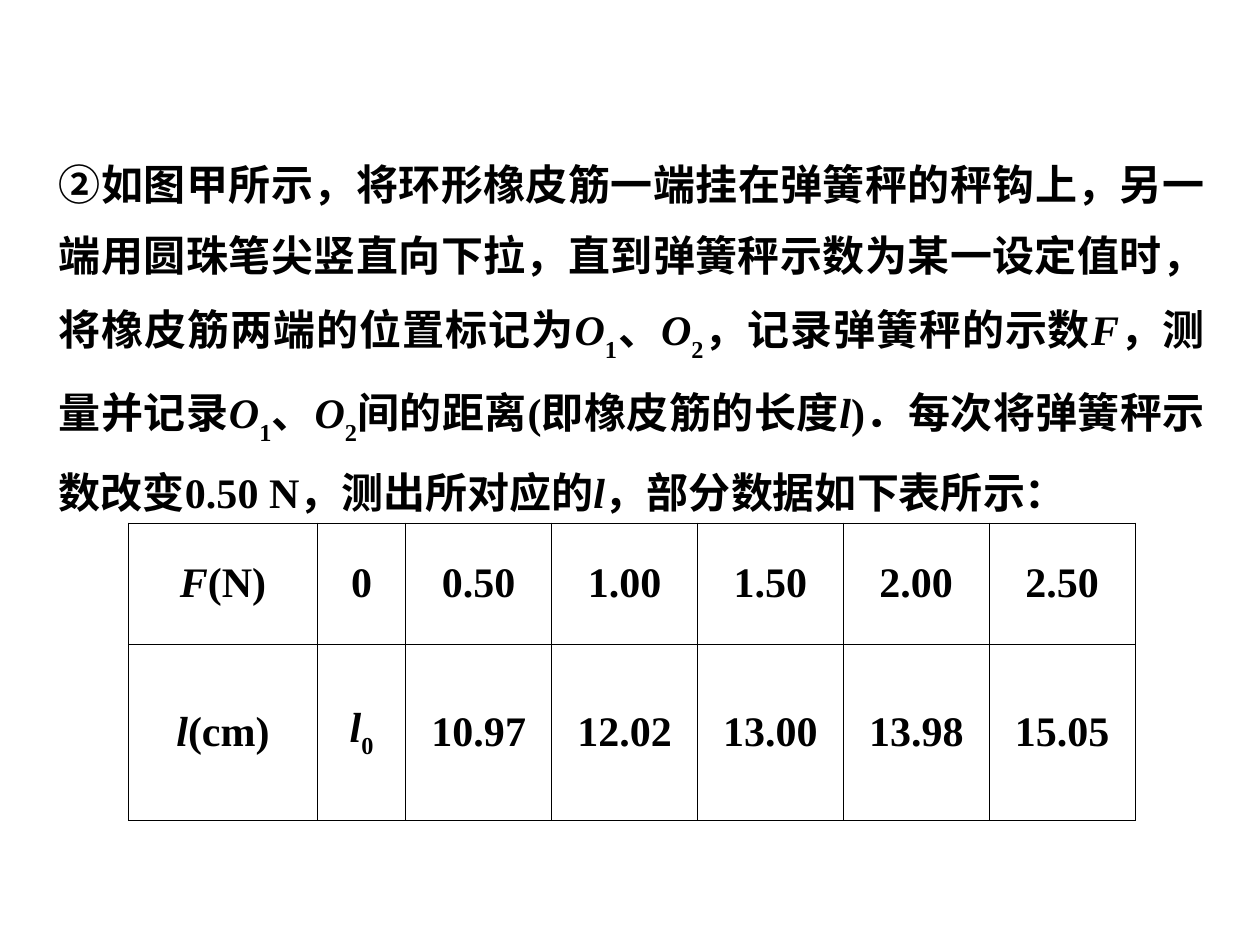
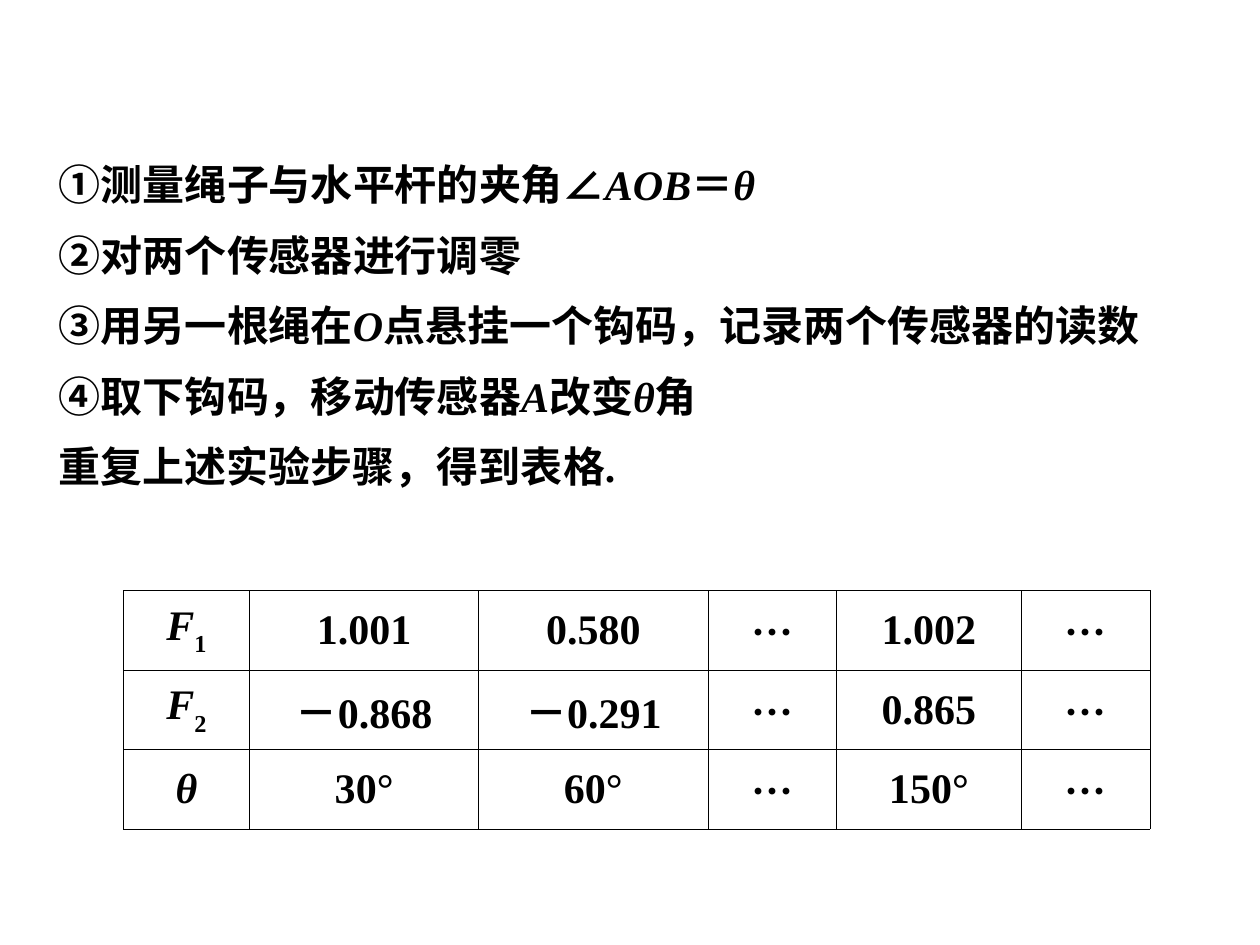
from dataclasses import dataclass

from lxml.etree import SubElement
from pptx import Presentation
from pptx.dml.color import RGBColor as RGB
from pptx.enum.text import MSO_ANCHOR as ANCHOR, PP_ALIGN as ALIGN
from pptx.oxml.ns import qn
from pptx.util import Cm, Pt


@dataclass(frozen=True)
class Theme:
    ink: str = "000000"
    font: str = "Times New Roman"
    symbol_font: str = "Noto Sans CJK SC"
    symbols: str = "①②③④∠…"
    size: float = 24
    line_spacing: float = 1.4
    border: float = 0.45


THEME = Theme()

SPRING_STEP = (
    "②|如图甲所示，将环形橡皮筋一端挂在弹簧秤的秤钩上，另一端用圆珠笔尖竖直向下拉，"
    "直到弹簧秤示数为某一设定值时，将橡皮筋两端的位置标记为|*O|_1|、|*O|_2|，"
    "记录弹簧秤的示数|*F|，测量并记录|*O|_1|、|*O|_2|间的距离(即橡皮筋的长度|*l|)．"
    "每次将弹簧秤示数改变0.50 N，测出所对应的|*l|，部分数据如下表所示："
)
SENSOR_STEPS = [
    "①|测量绳子与水平杆的夹角|∠|*AOB|＝|*θ",
    "②|对两个传感器进行调零",
    "③|用另一根绳在|*O|点悬挂一个钩码，记录两个传感器的读数",
    "④|取下钩码，移动传感器|*A|改变|*θ|角",
    "重复上述实验步骤，得到表格.",
]
SPRING_DATA = [
    ["*F|(N)", "0", "0.50", "1.00", "1.50", "2.00", "2.50"],
    ["*l|(cm)", "*l|_0", "10.97", "12.02", "13.00", "13.98", "15.05"],
]
SENSOR_DATA = [
    ["*F|_1", "1.001", "0.580", "…", "1.002", "…"],
    ["*F|_2", "－0.868", "－0.291", "…", "0.865", "…"],
    ["*θ", "30°", "60°", "…", "150°", "…"],
]


def write_runs(p, markup, align):
    """Parts are split by |, with * for italic and _ for subscript."""
    p.alignment = align
    for part in markup.split("|"):
        r = p.add_run()
        r.text = part.lstrip("*_")
        f = r.font
        f.size, f.bold, f.italic = Pt(THEME.size), True, part.startswith("*")
        f.color.rgb = RGB.from_string(THEME.ink)
        f.name = THEME.symbol_font if part in THEME.symbols else THEME.font
        if part.startswith("_"):
            r._r.get_or_add_rPr().set("baseline", "-30000")


def add_body(s, paragraphs, height):
    tf = s.shapes.add_textbox(Cm(0.94), Cm(2.67), Cm(23.6), Cm(height)).text_frame
    tf.word_wrap = True
    for i, markup in enumerate(paragraphs):
        p = tf.add_paragraph() if i else tf.paragraphs[0]
        p.line_spacing = THEME.line_spacing
        write_runs(p, markup, ALIGN.JUSTIFY)


def set_borders(cell):
    tcPr = cell._tc.get_or_add_tcPr()
    for side in ("lnL", "lnR", "lnT", "lnB"):
        ln = SubElement(tcPr, qn(f"a:{side}"), w=str(Pt(THEME.border)))
        fill = SubElement(ln, qn("a:solidFill"))
        SubElement(fill, qn("a:srgbClr"), val=THEME.ink)


def add_data_table(s, data, left, top, widths, heights):
    frame = s.shapes.add_table(len(data), len(widths), Cm(left), Cm(top),
                               Cm(sum(widths)), Cm(sum(heights)))
    table = frame.table
    table.first_row = table.horz_banding = False
    for column, width in zip(table.columns, widths):
        column.width = Cm(width)
    for row, height, values in zip(table.rows, heights, data):
        row.height = Cm(height)
        for cell, markup in zip(row.cells, values):
            cell.vertical_anchor = ANCHOR.MIDDLE
            set_borders(cell)
            cell.fill.background()
            write_runs(cell.text_frame.paragraphs[0], markup, ALIGN.CENTER)


def main():
    prs = Presentation()
    prs.slide_width, prs.slide_height = Cm(25.4), Cm(19.05)
    blank = prs.slide_layouts[6]

    s = prs.slides.add_slide(blank)
    add_body(s, [SPRING_STEP], 9.3)
    add_data_table(s, SPRING_DATA, 2.59, 10.54,
                   [3.81, 1.78] + [2.94] * 5, [2.45, 3.55])

    s = prs.slides.add_slide(blank)
    add_body(s, SENSOR_STEPS, 8.79)
    add_data_table(s, SENSOR_DATA, 2.49, 11.91,
                   [2.54, 4.62, 4.62, 2.59, 3.73, 2.59], [1.6] * 3)

    prs.save("out.pptx")


if __name__ == "__main__":
    main()
